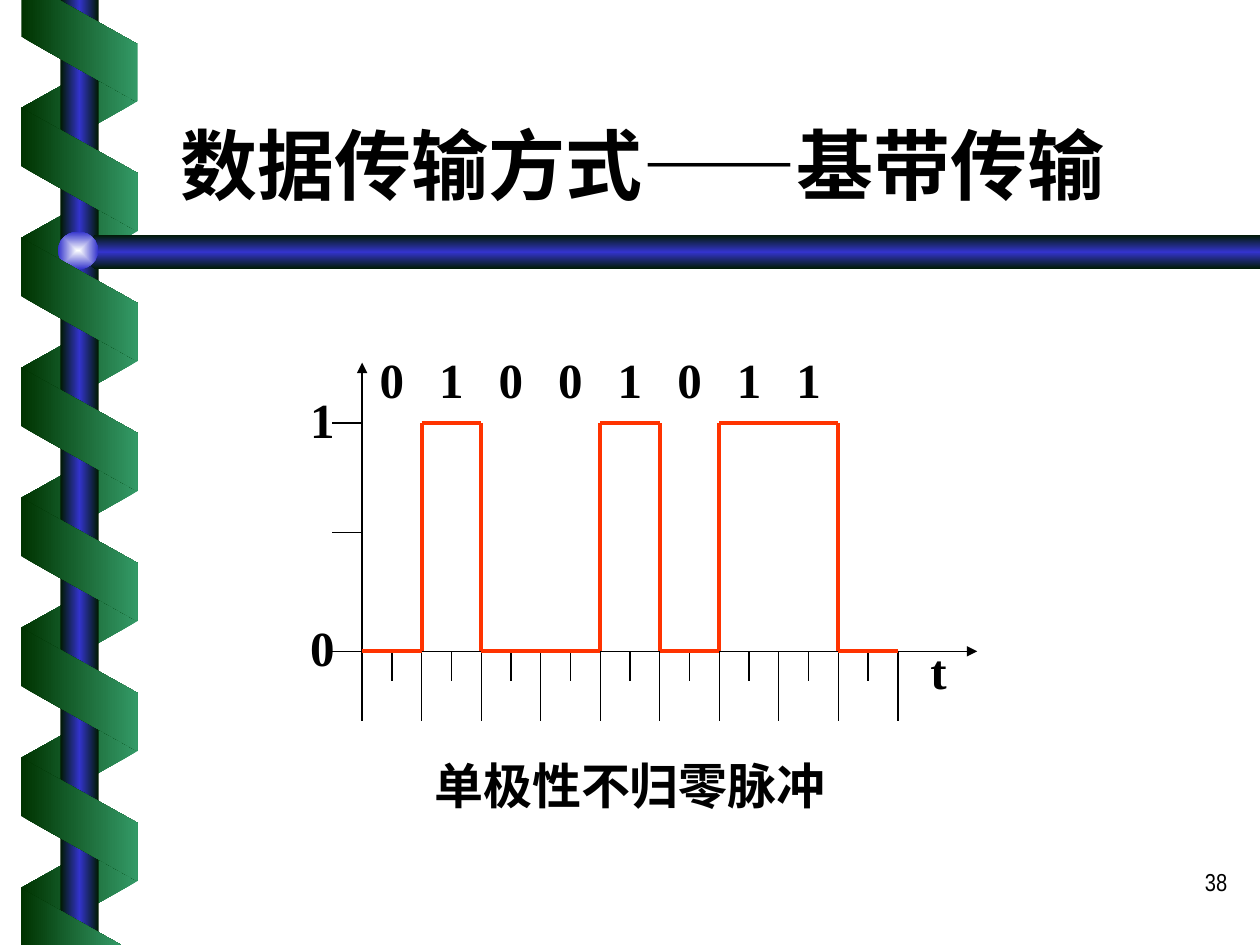
from dataclasses import dataclass

from lxml import etree
from pptx import Presentation
from pptx import util as u
from pptx.dml.color import RGBColor
from pptx.enum import shapes, text
from pptx.oxml.ns import qn


@dataclass(frozen=True)
class Theme:
    ink: str = "000000"
    signal: str = "FF3300"
    ribbon: tuple = ("003300", "339966")
    rod: tuple = ("001A00", "3333CC", "001A00")
    ball: tuple = ("FEFFFF", "3333CC")
    heading_font: str = "Arial Narrow"
    label_font: str = "Times New Roman"
    title_size: int = 44
    label_size: int = 28
    number_size: int = 14
    thin: float = 0.75
    thick: float = 2.25


@dataclass(frozen=True)
class Box:
    """A region in centimetres."""
    left: float
    top: float
    width: float
    height: float

    def emu(self):
        return [u.Cm(v) for v in (self.left, self.top, self.width, self.height)]


THEME = Theme()


# Shared helpers
def paint_gradient(shape, colors, angle=0, radial=False):
    shape.shadow.inherit = False
    shape.line.fill.background()
    shape.fill.gradient()
    gradient = shape._element.spPr.find(qn("a:gradFill"))
    gradient.set("rotWithShape", "0")
    stops = gradient.find(qn("a:gsLst"))
    for stop in list(stops):
        stops.remove(stop)
    for index, color in enumerate(colors):
        position = str(100000 * index // (len(colors) - 1))
        stop = etree.SubElement(stops, qn("a:gs"), pos=position)
        etree.SubElement(stop, qn("a:srgbClr"), val=color)
    linear = gradient.find(qn("a:lin"))
    if radial:
        gradient.remove(linear)
        focus = etree.SubElement(gradient, qn("a:path"), path="rect")
        etree.SubElement(focus, qn("a:fillToRect"), l="50000", t="50000", r="50000", b="50000")
    else:
        linear.set("ang", str(angle * 60000))


def add_polygon(page, points, colors, angle=0):
    corners = [(u.Cm(x), u.Cm(y)) for x, y in points]
    builder = page.shapes.build_freeform(*corners[0])
    builder.add_line_segments(corners[1:], close=True)
    paint_gradient(builder.convert_to_shape(), colors, angle)


def add_line(parts, start, end, color=THEME.ink, width=THEME.thin, arrow=False):
    line = parts.add_connector(
        shapes.MSO_CONNECTOR.STRAIGHT, *[u.Cm(v) for v in (*start, *end)])
    line.line.color.rgb = RGBColor.from_string(color)
    line.line.width = u.Pt(width)
    if arrow:
        etree.SubElement(line.line._get_or_add_ln(), qn("a:tailEnd"), type="triangle")
    etree.SubElement(line._element.spPr, qn("a:effectLst"))


def write(shape, words, font, size, bold=True, align=text.PP_ALIGN.CENTER):
    frame = shape.text_frame
    frame.text = words
    frame.word_wrap = True
    para = frame.paragraphs[0]
    para.alignment = align
    span = para.runs[0].font
    span.name, span.size, span.bold = font, u.Pt(size), bold
    span.color.rgb = RGBColor.from_string(THEME.ink)


def add_label(parts, box, words):
    label = parts.add_textbox(*box.emu())
    write(label, words, THEME.label_font, THEME.label_size)


# Spiral ribbon around the upright rod
def add_bands(page, box, first, count, rotation, flip, colors):
    width, height, pitch = 2.49, 2.35, 2.62
    for index in range(count):
        middle = box.top + first + index * pitch
        band_box = Box(box.left + (box.width - width) / 2, middle - height / 2, width, height)
        band = page.shapes.add_shape(shapes.MSO_SHAPE.PARALLELOGRAM, *band_box.emu())
        band.adjustments[0] = 0.56
        band.rotation = rotation
        if flip:
            band._element.spPr.find(qn("a:xfrm")).set("flipH", "1")
        paint_gradient(band, colors)


def add_ribbon_back(page, box):
    add_bands(page, box, 2.11, 7, 90, True, THEME.ribbon[::-1])


def add_ribbon_front(page, box):
    add_bands(page, box, 3.42, 6, 270, False, THEME.ribbon)
    left, right, bottom = box.left, box.left + box.width, box.top + box.height
    # Cut-off bands at the top and bottom edges
    add_polygon(page, [(left, box.top), (left, box.top + 0.74), (right, box.top + 2.06),
                       (right, box.top + 0.89), (left + 0.76, box.top)], THEME.ribbon)
    add_polygon(page, [(left, bottom - 1.14), (left, bottom),
                       (left + 2.01, bottom)], THEME.ribbon)


# Crossing rods with the ball at their joint
def add_rods(page, box):
    upright_box = Box(box.left + 0.05, box.top, 0.77, box.height)
    upright = page.shapes.add_shape(shapes.MSO_SHAPE.RECTANGLE, *upright_box.emu())
    paint_gradient(upright, THEME.rod)
    left, right = box.left + 0.35, box.left + box.width
    top, thickness, tip = box.top + 4.73, 0.7, 0.41
    add_polygon(page, [(right, top), (left + tip, top), (left, top + thickness / 2),
                       (left + tip, top + thickness), (right, top + thickness)],
                THEME.rod, 90)
    ball_box = Box(box.left, box.top + 4.67, 0.81, 0.76)
    ball = page.shapes.add_shape(shapes.MSO_SHAPE.OVAL, *ball_box.emu())
    paint_gradient(ball, THEME.ball, radial=True)


def add_title(page, box, words):
    title = page.shapes.title
    title.left, title.top, title.width, title.height = box.emu()
    write(title, words, THEME.heading_font, THEME.title_size, align=text.PP_ALIGN.LEFT)
    title.text_frame.vertical_anchor = text.MSO_ANCHOR.BOTTOM
    title.text_frame.auto_size = text.MSO_AUTO_SIZE.NONE


def add_number(page, box, words):
    number = page.shapes.add_textbox(*box.emu())
    write(number, words, THEME.heading_font, THEME.number_size, False, text.PP_ALIGN.RIGHT)


# Pulse diagram: axes, ticks, bits and waveform
def add_pulse_diagram(page, box, bits, caption):
    parts = page.shapes.add_group_shape().shapes
    cell, label_height = 1.2, 1.45
    origin = box.left + 1.4
    low, middle, high = (box.top + y for y in (6.2, 3.8, 1.6))
    axis_left, axis_end = origin - 0.6, low + 1.4
    levels = [high if bit == "1" else low for bit in bits] + [low]

    add_line(parts, (origin, axis_end), (origin, box.top + 0.38), arrow=True)
    add_line(parts, (axis_left, low), (box.left + box.width, low), arrow=True)
    for tick in range(1, 2 * len(levels) + 1):
        x = origin + tick * cell / 2
        add_line(parts, (x, low), (x, low + 0.6 if tick % 2 else axis_end))
    for y in (middle, high):
        add_line(parts, (axis_left, y), (origin, y))

    for index, level in enumerate(levels):
        x = origin + index * cell
        if index and level != levels[index - 1]:
            add_line(parts, (x, low), (x, high), THEME.signal, THEME.thick)
        add_line(parts, (x, level), (x + cell, level), THEME.signal, THEME.thick)

    for index, bit in enumerate(bits):
        add_label(parts, Box(origin + index * cell, box.top, cell, label_height), bit)
    for words, x, y in (("0", box.left, low - 0.8), ("1", box.left, high - 0.8),
                        ("t", origin + 11.02, low - 0.35)):
        add_label(parts, Box(x, y, cell, label_height), words)
    add_label(parts, Box(box.left + 1.8, low + 1.98, 10, label_height), caption)


def main():
    deck = Presentation()
    deck.slide_width, deck.slide_height = u.Cm(25.4), u.Cm(19.05)
    page = deck.slides.add_slide(deck.slide_layouts[5])
    ribbon = Box(0.43, 0, 2.34, 19.05)
    add_ribbon_back(page, ribbon)
    add_rods(page, Box(1.17, 0, 24.23, 19.05))
    add_ribbon_front(page, ribbon)
    add_title(page, Box(3.38, 1.17, 21.59, 3.18), "数据传输方式——基带传输")
    add_pulse_diagram(page, Box(5.9, 6.93, 13.8, 9.63), "01001011", "单极性不归零脉冲")
    add_number(page, Box(19.71, 17.35, 5.28, 1.27), "38")
    deck.save("out.pptx")


if __name__ == "__main__":
    main()
